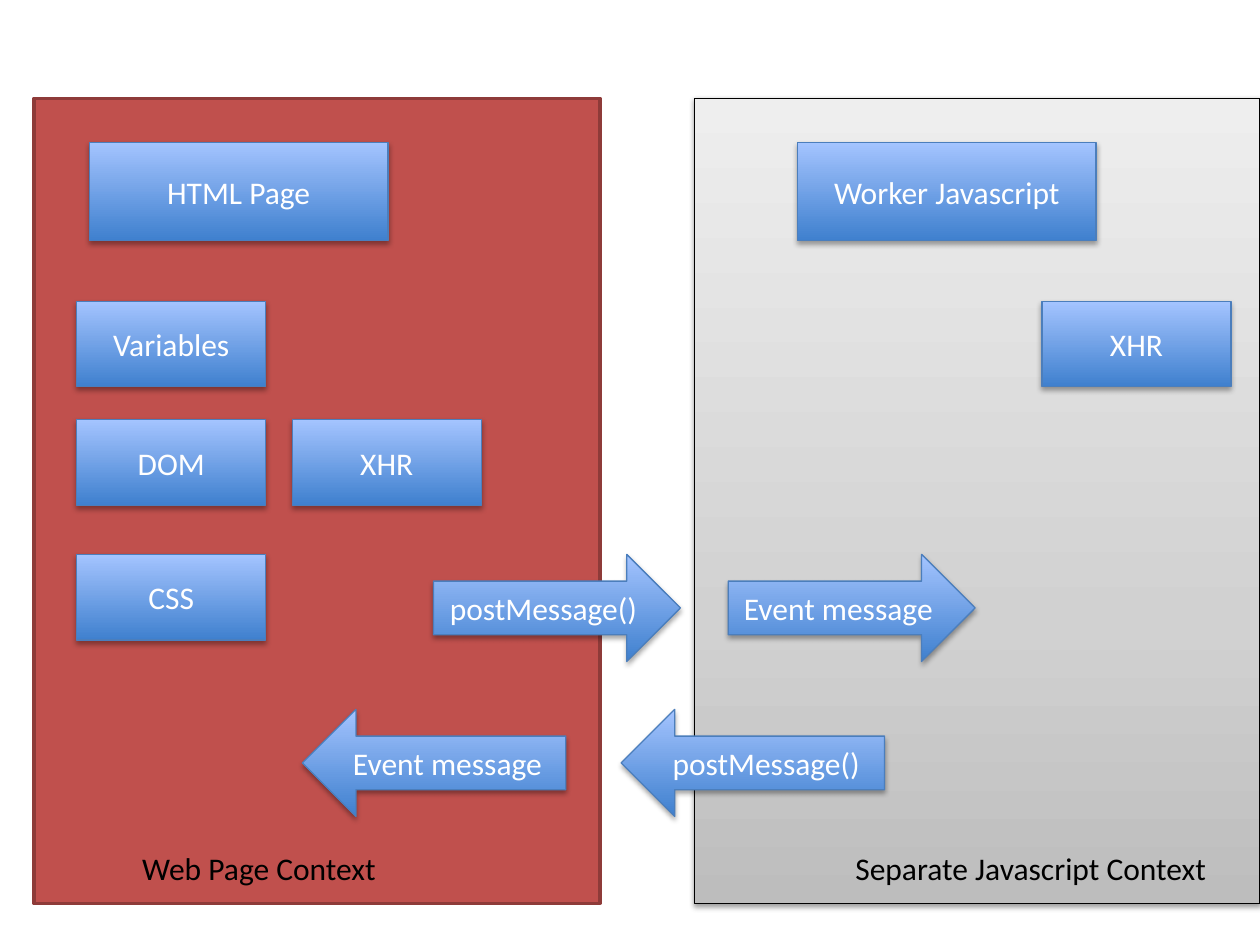
from dataclasses import dataclass

from lxml import etree
from pptx import Presentation
from pptx import util as u
from pptx.dml.color import RGBColor
from pptx.enum import shapes, text
from pptx.oxml.ns import qn

FONT = "Calibri"
BLUE_STOPS = ((0, "3F80CE"), (100, "A4C4FF"))
GREY_STOPS = ((0, "BDBDBD"), (35, "D1D1D1"), (100, "EEEEEE"))
RECT = shapes.MSO_SHAPE.RECTANGLE
RIGHT = shapes.MSO_SHAPE.RIGHT_ARROW
LEFT = shapes.MSO_SHAPE.LEFT_ARROW

PANEL_TOP, PANEL_WIDTH, PANEL_HEIGHT = 0.78, 4.49, 6.39
PAGE_LEFT, WORKER_LEFT = 0.27, 5.51
HEADING_SIZE = (2.37, 0.78)
RESOURCE_SIZE = (1.5, 0.68)
SEND_SIZE = (1.96, 0.85)
REPLY_SIZE = (2.09, 0.85)
HEADING_TOP = 1.13
RESOURCE_TOPS = (2.39, 3.33, 4.4)
RESOURCE_LEFT = 0.61
SEND_TOP, REPLY_TOP = 4.4, 5.63
CAPTION_TOP, CAPTION_WIDTH, CAPTION_HEIGHT = 6.69, 3.08, 0.4


@dataclass(frozen=True)
class Node:
    label: str
    left: float
    top: float
    size: tuple[float, float]
    kind: shapes.MSO_SHAPE = RECT


@dataclass(frozen=True)
class Caption:
    label: str
    left: float


NODES = (
    Node("HTML Page", 0.71, HEADING_TOP, HEADING_SIZE),
    Node("Worker Javascript", 6.33, HEADING_TOP, HEADING_SIZE),
    *(
        Node(label, RESOURCE_LEFT, top, RESOURCE_SIZE)
        for label, top in zip(("Variables", "DOM", "CSS"), RESOURCE_TOPS)
    ),
    Node("XHR", 2.32, RESOURCE_TOPS[1], RESOURCE_SIZE),
    Node("XHR", 8.27, RESOURCE_TOPS[0], RESOURCE_SIZE),
    Node("postMessage()", 3.44, SEND_TOP, SEND_SIZE, RIGHT),
    Node("Event message", 5.78, SEND_TOP, SEND_SIZE, RIGHT),
    Node("postMessage()", 4.93, REPLY_TOP, REPLY_SIZE, LEFT),
    Node("Event message", 2.4, REPLY_TOP, REPLY_SIZE, LEFT),
)
CAPTIONS = (
    Caption("Separate Javascript Context", 6.69),
    Caption("Web Page Context", 1.03),
)


def color(value: str) -> RGBColor:
    return RGBColor.from_string(value)


def add_color(parent, value: str):
    return etree.SubElement(parent, qn("a:srgbClr"), val=value)


def set_gradient(shape, stops: tuple) -> None:
    shape.fill.gradient()
    shape.fill.gradient_angle = 90
    stop_list = shape._element.spPr.find(".//" + qn("a:gsLst"))
    for default_stop in list(stop_list):
        stop_list.remove(default_stop)
    for position, value in stops:
        stop = etree.SubElement(stop_list, qn("a:gs"), pos=str(position * 1000))
        add_color(stop, value)


def set_shadow(shape, opacity: int, distance: float) -> None:
    effects = shape._element.spPr.find(qn("a:effectLst"))
    shadow = etree.SubElement(
        effects,
        qn("a:outerShdw"),
        blurRad=str(u.Pt(3.1)),
        dist=str(u.Pt(distance)),
        dir="5400000",
        rotWithShape="0",
    )
    tint = add_color(shadow, "000000")
    etree.SubElement(tint, qn("a:alpha"), val=str(opacity * 1000))


def add_outlined(slide, kind, left: float, top: float, size: tuple[float, float],
                 line: str, weight: float):
    shape = slide.shapes.add_shape(kind, *map(u.Inches, (left, top, *size)))
    shape.line.color.rgb = color(line)
    shape.line.width = u.Pt(weight)
    shape.shadow.inherit = False
    return shape


def write(frame, label: str, value: str) -> None:
    run = frame.paragraphs[0].add_run()
    run.text = label
    run.font.name = FONT
    run.font.size = u.Pt(18)
    run.font.color.rgb = color(value)


def draw_contexts(slide) -> None:
    size = (PANEL_WIDTH, PANEL_HEIGHT)
    worker = add_outlined(slide, RECT, WORKER_LEFT, PANEL_TOP, size, "000000", 0.75)
    set_gradient(worker, GREY_STOPS)
    set_shadow(worker, 38, 1.6)
    page = add_outlined(slide, RECT, PAGE_LEFT, PANEL_TOP, size, "8E3B39", 2)
    page.fill.solid()
    page.fill.fore_color.rgb = color("C0504D")


def draw_node(slide, node: Node) -> None:
    shape = add_outlined(slide, node.kind, node.left, node.top, node.size, "4B7EBC", 0.75)
    set_gradient(shape, BLUE_STOPS)
    set_shadow(shape, 35, 1.8)
    frame = shape.text_frame
    frame.word_wrap = True
    frame.vertical_anchor = text.MSO_ANCHOR.MIDDLE
    frame.paragraphs[0].alignment = text.PP_ALIGN.CENTER
    write(frame, node.label, "FFFFFF")


def draw_caption(slide, caption: Caption) -> None:
    box = slide.shapes.add_textbox(
        *map(u.Inches, (caption.left, CAPTION_TOP, CAPTION_WIDTH, CAPTION_HEIGHT))
    )
    box.text_frame.word_wrap = True
    box.text_frame.auto_size = text.MSO_AUTO_SIZE.SHAPE_TO_FIT_TEXT
    write(box.text_frame, caption.label, "000000")


def main() -> None:
    deck = Presentation()
    deck.slide_width, deck.slide_height = u.Inches(10), u.Inches(7.5)
    slide = deck.slides.add_slide(deck.slide_layouts[6])
    draw_contexts(slide)
    for node in NODES:
        draw_node(slide, node)
    for caption in CAPTIONS:
        draw_caption(slide, caption)
    deck.save("out.pptx")


if __name__ == "__main__":
    main()
